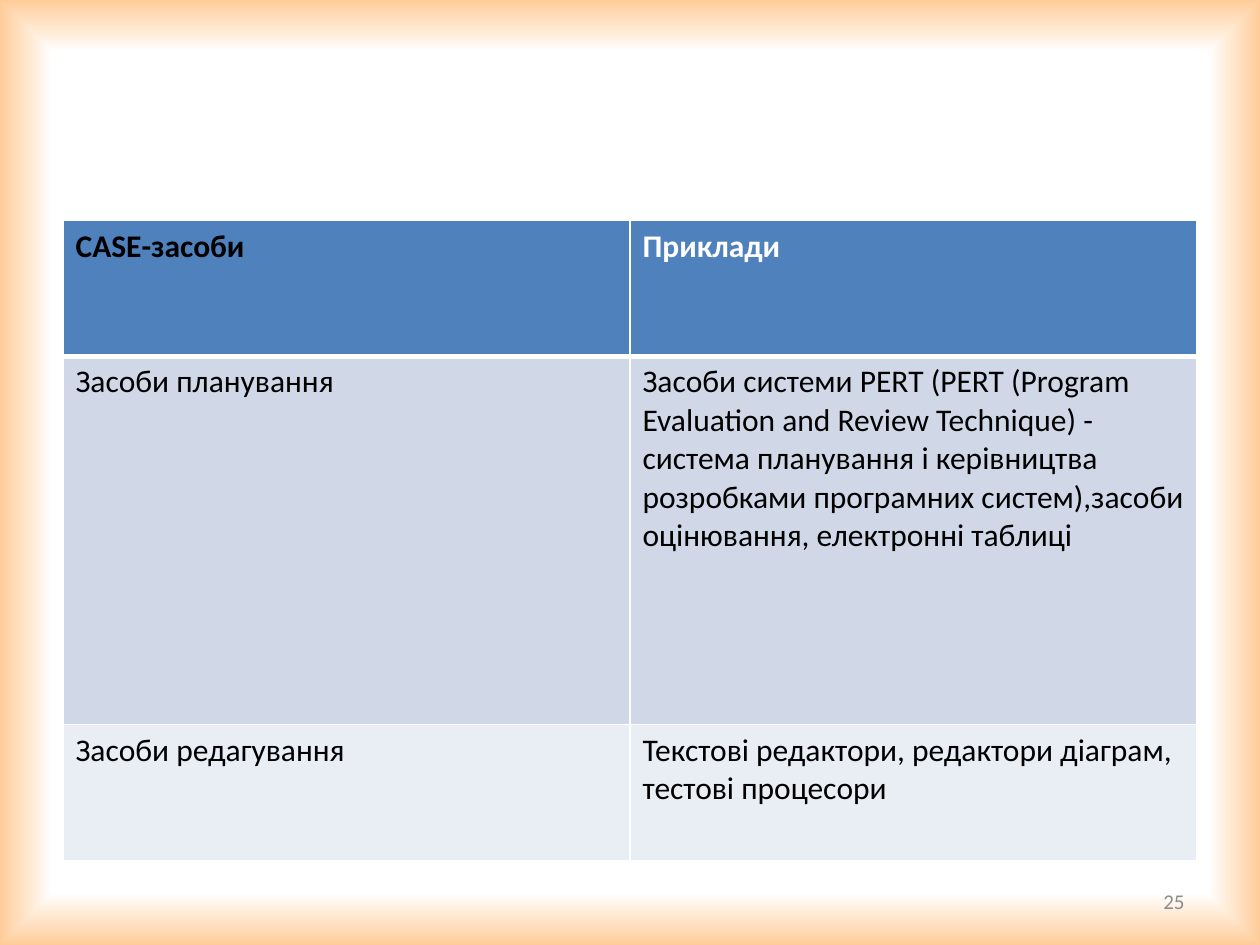
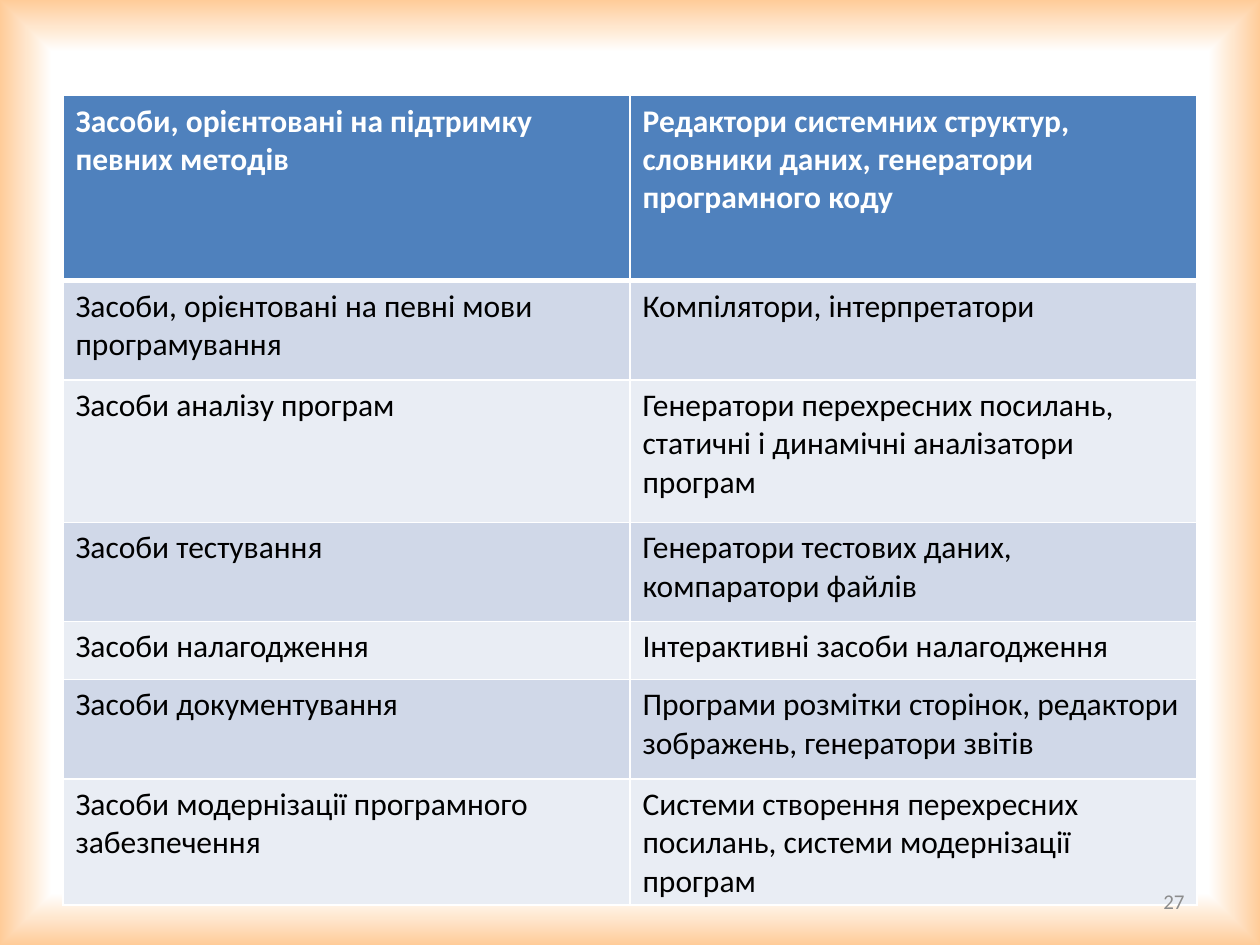
from lxml.etree import SubElement
from pptx import Presentation
from pptx.dml.color import RGBColor
from pptx.enum.text import MSO_ANCHOR, PP_ALIGN
from pptx.oxml.ns import qn
from pptx.util import Cm, Pt

WHITE, BLACK, PEACH, GREY = "FFFFFF", "000000", "FFCC99", "8C8C8C"
HEADER, BANDS = "4F81BD", ("D0D8E8", "E9EDF4")


def colour(value):
    return RGBColor.from_string(value)


def write(frame, text, ink, **formats):
    paragraph = frame.paragraphs[0]
    span = paragraph.add_run()
    span.text = text
    for name, value in {"name": "Calibri", **formats}.items():
        setattr(span.font, name, value)
    span.font.color.rgb = colour(ink)
    return paragraph


# Content: page number, table top and row heights in cm, header inks, rows
slides = [
    {
        "number": "25",
        "top": 4.45,
        "heights": [2.74, 7.42, 2.74],
        "inks": (BLACK, WHITE),
        "rows": [
            ("САSЕ-засоби", "Приклади"),
            ("Засоби планування",
             "Засоби системи PERT (PERT (Program Evaluation and Review Technique) - "
             "система планування і керівництва розробками програмних систем),"
             "засоби оцінювання, електронні таблиці"),
            ("Засоби редагування",
             "Текстові редактори, редактори діаграм, тестові процесори"),
        ],
    },
    {
        "number": "27",
        "top": 1.93,
        "heights": [3.73, 2.0, 2.87, 2.0, 1.17, 2.0, 2.0],
        "inks": (WHITE, WHITE),
        "rows": [
            ("Засоби, орієнтовані на підтримку певних методів",
             "Редактори системних структур, словники даних, генератори програмного коду"),
            ("Засоби, орієнтовані на певні мови програмування",
             "Компілятори, інтерпретатори"),
            ("Засоби аналізу програм",
             "Генератори перехресних посилань, статичні і динамічні аналізатори програм"),
            ("Засоби тестування", "Генератори тестових даних, компаратори файлів "),
            ("Засоби налагодження", "Інтерактивні засоби налагодження"),
            ("Засоби документування",
             "Програми розмітки сторінок, редактори зображень, генератори звітів"),
            ("Засоби модернізації програмного забезпечення",
             "Системи створення перехресних посилань, системи модернізації програм"),
        ],
    },
]

deck = Presentation()
deck.slide_width, deck.slide_height = Cm(25.4), Cm(19.05)

# Shared background: white centre fading to a peach frame
fill = deck.slide_master.background.fill
fill.gradient()
for stop, position, value in zip(fill.gradient_stops, (0.89, 1), (WHITE, PEACH)):
    stop.position = position
    stop.color.rgb = colour(value)
gradient = deck.slide_master.element.find(".//" + qn("a:gradFill"))
gradient.remove(gradient.find(qn("a:lin")))
shade = SubElement(gradient, qn("a:path"), {"path": "shape"})
SubElement(shade, qn("a:fillToRect"), dict.fromkeys("ltrb", "50000"))

for slide in slides:
    page = deck.slides.add_slide(deck.slide_layouts[6])

    # Two-column table
    heights = slide["heights"]
    table = page.shapes.add_table(len(heights), 2, Cm(1.27), Cm(slide["top"]),
                                  Cm(22.86), Cm(sum(heights))).table
    table.horz_banding = False
    for row, height in zip(table.rows, heights):
        row.height = Cm(height)
    for r, texts in enumerate(slide["rows"]):
        for c, text in enumerate(texts):
            cell = table.cell(r, c)
            ink = BLACK if r else slide["inks"][c]
            write(cell.text_frame, text, ink, size=Pt(18), bold=r == 0)

            # White rules, thick under the header
            properties = cell._tc.get_or_add_tcPr()
            for side in "LRTB":
                thick = (r, side) in ((0, "B"), (1, "T"))
                line = SubElement(properties, qn("a:ln" + side),
                                  {"w": str(Pt(3 if thick else 1))})
                SubElement(SubElement(line, qn("a:solidFill")),
                           qn("a:srgbClr"), {"val": WHITE})
            cell.fill.solid()
            cell.fill.fore_color.rgb = colour(BANDS[(r - 1) % 2] if r else HEADER)

    # Page number
    box = page.shapes.add_textbox(Cm(18.2), Cm(17.66), Cm(5.93), Cm(1.01))
    box.text_frame.word_wrap = True
    box.text_frame.vertical_anchor = MSO_ANCHOR.MIDDLE
    write(box.text_frame, slide["number"], GREY, size=Pt(12)).alignment = PP_ALIGN.RIGHT

deck.save("out.pptx")
